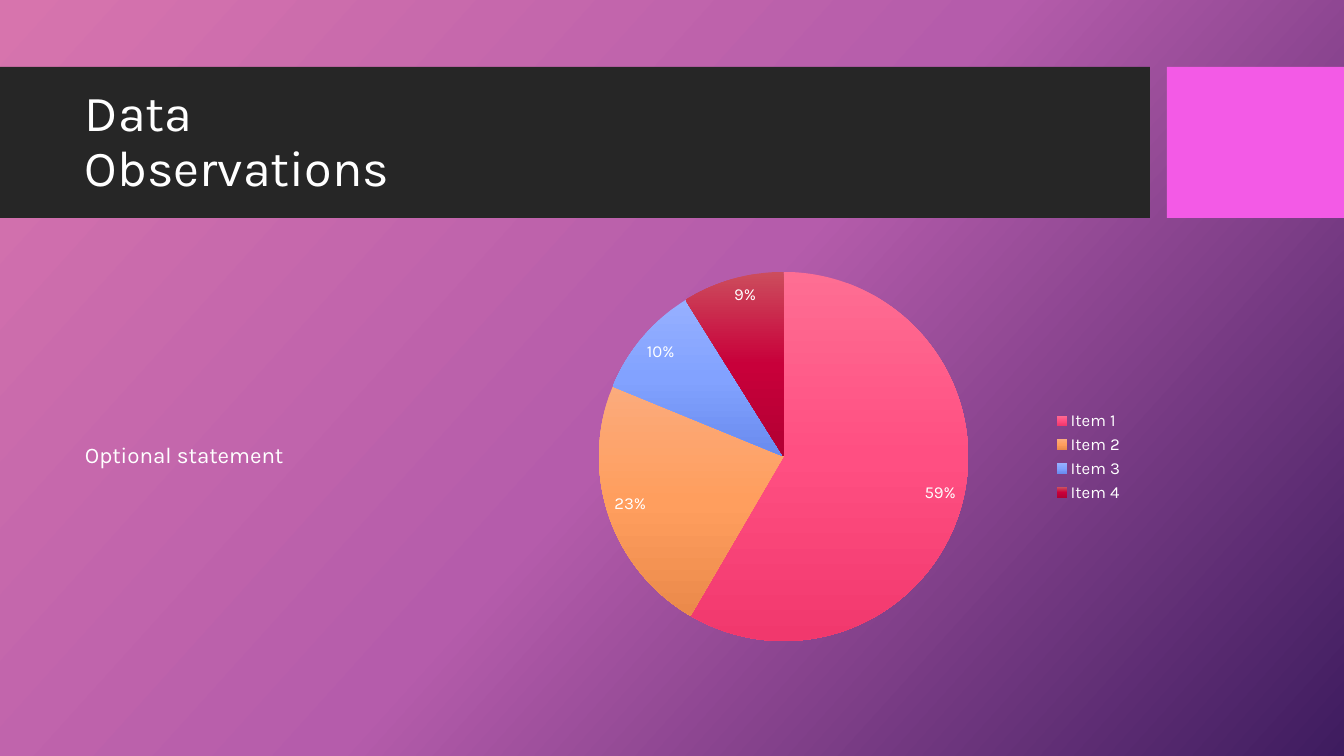
from lxml import etree
from pptx import Presentation
from pptx.chart.data import CategoryChartData
from pptx.dml.color import RGBColor
from pptx.enum.chart import XL_CHART_TYPE, XL_LABEL_POSITION, XL_LEGEND_POSITION
from pptx.enum.shapes import MSO_SHAPE
from pptx.enum.text import MSO_ANCHOR
from pptx.oxml.ns import qn
from pptx.util import Pt

PX = 914400 / 100.8
FONT = "Karla"
RECTANGLE = MSO_SHAPE.RECTANGLE
MIDDLE = MSO_ANCHOR.MIDDLE
PIE = XL_CHART_TYPE.PIE
LEGEND_RIGHT = XL_LEGEND_POSITION.RIGHT
INSIDE_END = XL_LABEL_POSITION.INSIDE_END

WHITE = RGBColor(0xFF, 0xFF, 0xFF)
CHARCOAL = RGBColor(0x26, 0x26, 0x26)
MAGENTA = RGBColor(0xF3, 0x5A, 0xE6)
BACKGROUND = (
    RGBColor(0xD7, 0x74, 0xAD), RGBColor(0xB5, 0x5C, 0xAB), RGBColor(0x3E, 0x1C, 0x5F),
)
PINK = (RGBColor(0xFE, 0x6E, 0x93), RGBColor(0xFF, 0x4F, 0x82), RGBColor(0xF1, 0x38, 0x6D))
ORANGE = (RGBColor(0xFB, 0xAB, 0x7C), RGBColor(0xFF, 0x9E, 0x5E), RGBColor(0xEB, 0x8A, 0x4B))
BLUE = (RGBColor(0x96, 0xB0, 0xFF), RGBColor(0x82, 0xA2, 0xFF), RGBColor(0x69, 0x8B, 0xEE))
RED = (RGBColor(0xCC, 0x4D, 0x5D), RGBColor(0xC8, 0x00, 0x3A), RGBColor(0xB2, 0x00, 0x33))

# Category, percentage, gradient from top to bottom
ITEMS = (
    ("Item 1", 59, PINK),
    ("Item 2", 23, ORANGE),
    ("Item 3", 10, BLUE),
    ("Item 4", 9, RED),
)


def px(*lengths):
    return [round(length * PX) for length in lengths]


def set_attributes(target, values):
    for name, value in values.items():
        setattr(target, name, value)


def set_font(font, size):
    set_attributes(font, {"name": FONT, "size": Pt(size), "bold": False})
    font.color.rgb = WHITE


def set_gradient(fill, root, colors, angle):
    """Give the last gradient under root evenly spaced stops, angle clockwise."""
    fill.gradient()
    gradient = list(root.iter(qn("a:gradFill")))[-1]
    stops = gradient.find(qn("a:gsLst"))
    for stop in list(stops):
        stops.remove(stop)
    for index, color in enumerate(colors):
        position = 100000 * index // (len(colors) - 1)
        stop = etree.SubElement(stops, qn("a:gs"), pos=str(position))
        etree.SubElement(stop, qn("a:srgbClr"), val=str(color))
    gradient.find(qn("a:lin")).set("ang", str(angle * 60000))


def add_band(slide, box, color):
    shape = slide.shapes.add_shape(RECTANGLE, *px(*box))
    shape.shadow.inherit = False
    shape.fill.solid()
    shape.fill.fore_color.rgb = color
    shape.line.fill.background()


def add_text(slide, box, text, size, space_before=0):
    frame = slide.shapes.add_textbox(*px(*box)).text_frame
    set_attributes(frame, {"word_wrap": True, "vertical_anchor": MIDDLE})
    paragraph = frame.paragraphs[0]
    paragraph.text = text
    set_attributes(paragraph, {"line_spacing": 0.9, "space_before": Pt(space_before)})
    set_font(paragraph.runs[0].font, size)
    for run in paragraph.runs[1:]:
        set_font(run.font, size)


def add_pie(slide, box):
    data = CategoryChartData()
    data.categories = [name for name, _, _ in ITEMS]
    data.add_series("Series 1", [value for _, value, _ in ITEMS])
    chart = slide.shapes.add_chart(PIE, *px(*box), data).chart
    set_attributes(chart, {"has_title": False, "has_legend": True})
    set_font(chart.font, 10)
    set_attributes(chart.legend, {"position": LEGEND_RIGHT, "include_in_layout": False})
    set_font(chart.legend.font, 12)

    plot = chart.plots[0]
    set_attributes(plot, {"vary_by_categories": True, "has_data_labels": True})
    set_attributes(plot.data_labels, {
        "show_value": True,
        "show_percentage": False,
        "number_format": '0"%"',
        "number_format_is_linked": False,
        "position": INSIDE_END,
    })
    set_font(plot.data_labels.font, 12)
    for index, (_, _, colors) in enumerate(ITEMS):
        point_format = plot.series[0].points[index].format
        set_gradient(point_format.fill, chart.element, colors, 90)
        point_format.line.fill.background()


def main():
    presentation = Presentation()
    width, height = px(1344, 756)
    set_attributes(presentation, {"slide_width": width, "slide_height": height})
    slide = presentation.slides.add_slide(presentation.slide_layouts[6])
    set_gradient(slide.background.fill, slide.element, BACKGROUND, 42)

    add_band(slide, (0, 67, 1150, 151), CHARCOAL)
    add_band(slide, (1167, 67, 177, 151), MAGENTA)
    add_text(slide, (75, 83, 1059, 119), "Data\vObservations", 36)
    add_pie(slide, (516, 258, 618, 397))
    add_text(slide, (75, 258, 417, 397), "Optional statement", 16, space_before=10)
    presentation.save("out.pptx")


if __name__ == "__main__":
    main()
